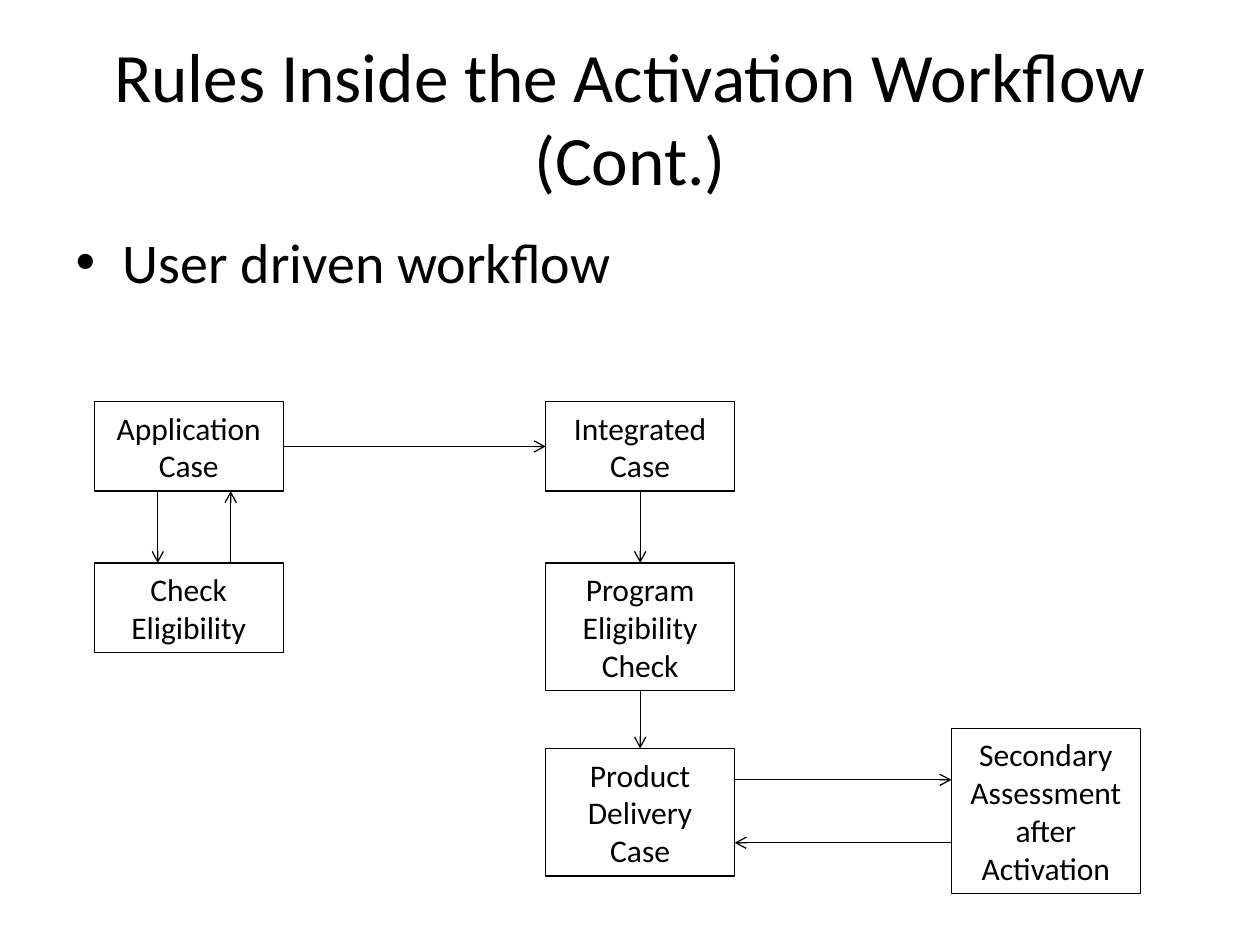
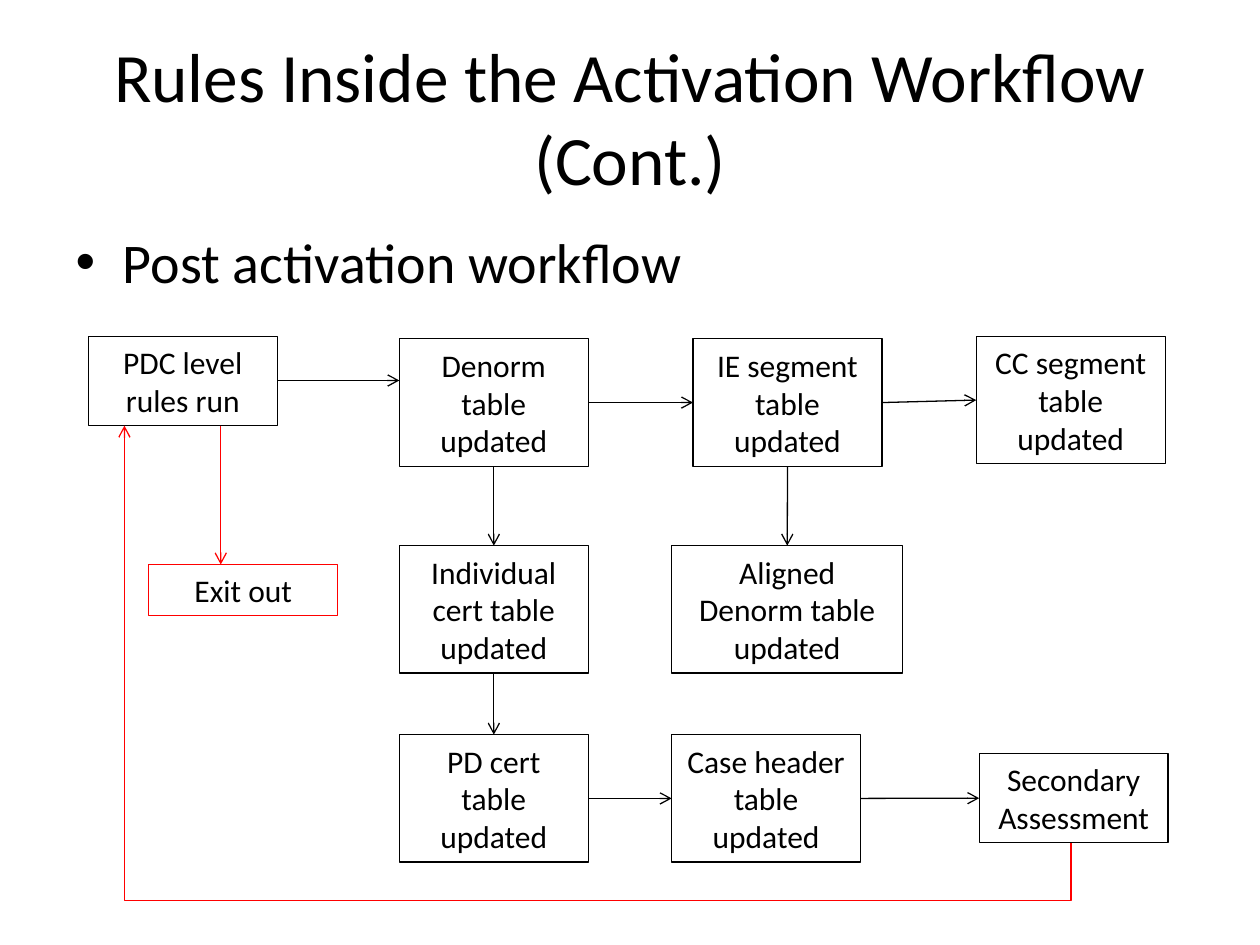
from lxml import etree
from pptx import Presentation
from pptx.dml.color import RGBColor
from pptx.enum import shapes, text
from pptx.oxml.ns import qn
from pptx.util import Cm, Pt

FONT = "Calibri"
BLACK, RED = "000000", "FF0000"
TITLE = "Rules Inside the Activation Workflow (Cont.)"
TITLE_AREA = (1.27, 0.76, 22.86, 3.18)
BOX_W, ONE_LINE, EXTRA_LINE = 3.81, 1.03, 0.77

# name: (text, left, top, lines, width, colour)
USER_BOXES = {
    "application": ("Application Case", 1.9, 8.1, 2),
    "integrated": ("Integrated\nCase", 11, 8.1, 2),
    "delivery": ("Product Delivery\nCase", 11, 15.09, 3),
    "eligibility": ("Check Eligibility", 1.9, 11.35, 2),
    "program": ("Program Eligibility Check", 11, 11.35, 3),
    "secondary": ("Secondary Assessment after Activation", 19.18, 14.68, 4),
}
POST_BOXES = {
    "denorm": ("Denorm table updated", 8.05, 6.83, 3),
    "ie": ("IE segment table updated", 13.97, 6.83, 3),
    "cc": ("CC segment table updated", 19.68, 6.78, 3),
    "aligned": ("Aligned Denorm table updated", 13.54, 11, 3, 4.66),
    "individual": ("Individual cert table updated", 8.05, 11, 3),
    "pd": ("PD cert table updated", 8.05, 14.81, 3),
    "header": ("Case header table updated", 13.54, 14.81, 3),
    "secondary": ("Secondary Assessment", 19.74, 15.19, 2),
    "pdc": ("PDC level rules run", 1.78, 6.78, 2),
    "exit": ("Exit out", 3, 11.38, 1, BOX_W, RED),
}
# from, to, direction, position across the direction (centres if absent), colour
USER_ARROWS = [
    ("application", "eligibility", "down", 3.18),
    ("eligibility", "application", "up", 4.65),
    ("application", "integrated", "right"),
    ("integrated", "program", "down"),
    ("program", "delivery", "down"),
    ("delivery", "secondary", "right", 15.72),
    ("secondary", "delivery", "left", 16.99),
]
POST_ARROWS = [
    ("pdc", "denorm", "right", 7.67),
    ("denorm", "ie", "right"),
    ("ie", "cc", "right"),
    ("denorm", "individual", "down"),
    ("ie", "aligned", "down"),
    ("individual", "pd", "down"),
    ("pd", "header", "right"),
    ("header", "secondary", "right"),
    ("pdc", "exit", "down", 4.45, RED),
]
RETURN_LOOP = ("secondary", 21.59, "pdc", 2.51, 18.16)
SLIDES = [
    ("User driven workflow", 12.57, USER_BOXES, USER_ARROWS, None),
    ("Post activation workflow", 1.7, POST_BOXES, POST_ARROWS, RETURN_LOOP),
]
SITES = {"up": (0, 2), "left": (1, 3), "down": (2, 0), "right": (3, 1)}


def rgb(colour):
    return RGBColor.from_string(colour)


def format_text(tf, size, align=None):
    for p in tf.paragraphs:
        if align is not None:
            p.alignment = align
        for r in p.runs:
            r.font.name = FONT
            r.font.size = Pt(size)
            r.font.color.rgb = rgb(BLACK)


def fill_placeholder(sp, words, area, size, align=None):
    sp.left, sp.top, sp.width, sp.height = (Cm(v) for v in area)
    sp.text_frame.text = words
    sp.text_frame.auto_size = text.MSO_AUTO_SIZE.NONE
    format_text(sp.text_frame, size, align)


def add_box(s, words, left, top, lines, width=BOX_W, colour=BLACK):
    height = ONE_LINE + EXTRA_LINE * (lines - 1)
    sp = s.shapes.add_shape(shapes.MSO_SHAPE.RECTANGLE,
                            Cm(left), Cm(top), Cm(width), Cm(height))
    sp.shadow.inherit = False
    sp.fill.background()
    sp.line.color.rgb = rgb(colour)
    sp.line.width = Pt(0.75)
    tf = sp.text_frame
    tf.text = words
    tf.word_wrap = True
    tf.vertical_anchor = text.MSO_ANCHOR.MIDDLE
    format_text(tf, 18, text.PP_ALIGN.CENTER)
    return sp


def site_point(sp, site):
    x = {1: sp.left, 3: sp.left + sp.width}.get(site, sp.left + sp.width // 2)
    y = {0: sp.top, 2: sp.top + sp.height}.get(site, sp.top + sp.height // 2)
    return x, y


def add_line(s, kind, start, end, colour):
    line = s.shapes.add_connector(kind, *start, *end)
    line.line.color.rgb = rgb(colour)
    line.line.width = Pt(0.75)
    sp_pr = line._element.spPr
    etree.SubElement(sp_pr.find(qn("a:ln")), qn("a:tailEnd"), type="arrow")
    etree.SubElement(sp_pr, qn("a:effectLst"))
    return line


def add_arrow(s, boxes, source, target, direction, position=None, colour=BLACK):
    ends = list(zip((boxes[source], boxes[target]), SITES[direction]))
    start, end = (site_point(sp, site) for sp, site in ends)
    if position is not None:
        if direction in ("up", "down"):
            start, end = (Cm(position), start[1]), (Cm(position), end[1])
        else:
            start, end = (start[0], Cm(position)), (end[0], Cm(position))
    line = add_line(s, shapes.MSO_CONNECTOR.STRAIGHT, start, end, colour)
    if position is None:
        line.begin_connect(*ends[0])
        line.end_connect(*ends[1])


def add_return_loop(s, boxes, source, source_x, target, target_x, low_y):
    x1, y1 = Cm(source_x), site_point(boxes[source], 2)[1]
    x2, y2 = Cm(target_x), site_point(boxes[target], 2)[1]
    across, rise = x1 - x2, y1 - y2
    left = (x1 + x2 - rise) // 2
    top = (y1 + y2 - across) // 2
    line = add_line(s, shapes.MSO_CONNECTOR.ELBOW,
                    (left + rise, top), (left, top + across), RED)
    sp_pr = line._element.spPr
    sp_pr.find(qn("a:xfrm")).set("rot", str(90 * 60000))
    guides = sp_pr.find(qn("a:prstGeom")).find(qn("a:avLst"))
    bend = round((y1 - Cm(low_y)) / rise * 100000)
    etree.SubElement(guides, qn("a:gd"), name="adj1", fmla=f"val {bend}")


def main():
    prs = Presentation()
    prs.slide_width, prs.slide_height = Cm(25.4), Cm(19.05)
    for bullet, body_height, box_data, arrows, loop in SLIDES:
        s = prs.slides.add_slide(prs.slide_layouts[1])
        fill_placeholder(s.shapes.title, TITLE, TITLE_AREA, 39.6,
                         text.PP_ALIGN.CENTER)
        fill_placeholder(s.placeholders[1], bullet,
                         (1.27, 4.45, 22.86, body_height), 32)
        boxes = {name: add_box(s, *data) for name, data in box_data.items()}
        for arrow in arrows:
            add_arrow(s, boxes, *arrow)
        if loop:
            add_return_loop(s, boxes, *loop)
    prs.save("out.pptx")


if __name__ == "__main__":
    main()
